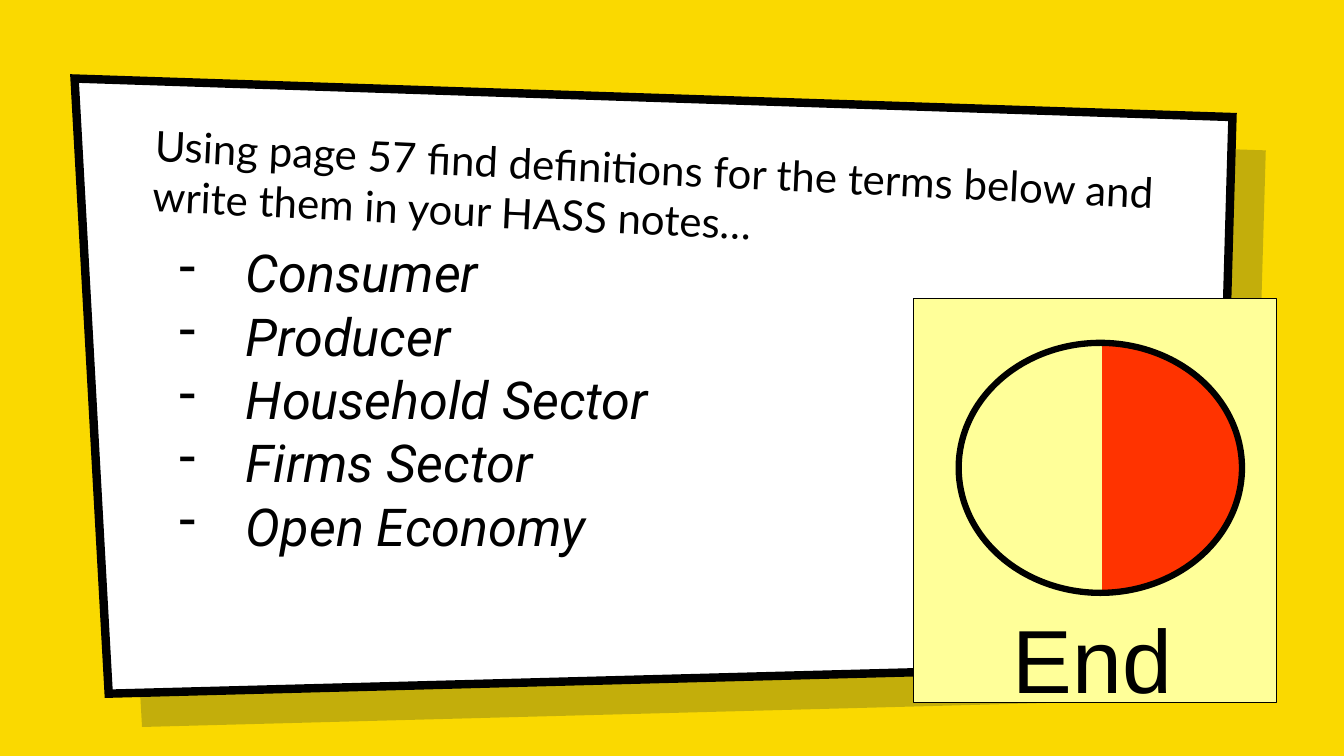
from lxml.etree import SubElement
from pptx import Presentation
from pptx.dml.color import RGBColor
from pptx.enum.shapes import MSO_SHAPE
from pptx.enum.text import MSO_ANCHOR, MSO_AUTO_SIZE, PP_ALIGN
from pptx.oxml.ns import qn
from pptx.util import Cm, Pt

YELLOW = RGBColor(0xFA, 0xD9, 0x00)
NAVY = RGBColor(0x00, 0x19, 0x36)
WHITE = RGBColor(0xFF, 0xFF, 0xFF)
BLACK = RGBColor(0x00, 0x00, 0x00)
CREAM = RGBColor(0xFF, 0xFF, 0x99)
RED = RGBColor(0xFF, 0x33, 0x00)

CARD_CORNERS = [(1.88, 1.98), (31.06, 2.95), (30.66, 16.74), (2.74, 17.48)]
SHADOW_OFFSET = 0.84
TIMER_CIRCLE = (24.16, 8.64, 7.14, 6.3)
TERMS = ["Consumer", "Producer", "Household Sector", "Firms Sector", "Open Economy"]


def paint(shape, fill=None, line_width=None):
    shape.shadow.inherit = False
    if fill is None:
        shape.fill.background()
    else:
        shape.fill.solid()
        shape.fill.fore_color.rgb = fill
    if line_width is None:
        shape.line.fill.background()
    else:
        shape.line.color.rgb = BLACK
        shape.line.width = Pt(line_width)


def write(para, text, font, size, italic=False):
    para.alignment = PP_ALIGN.LEFT
    span = para.add_run()
    span.text = text
    span.font.name = font
    span.font.size = Pt(size)
    span.font.italic = italic
    span.font.color.rgb = BLACK


deck = Presentation()
deck.slide_width, deck.slide_height = Cm(33.87), Cm(19.05)
page = deck.slides.add_slide(deck.slide_layouts[5])
page.background.fill.solid()
page.background.fill.fore_color.rgb = YELLOW
shapes = page.shapes

# Slanted card and its shadow
for offset, fill, line_width in [(SHADOW_OFFSET, NAVY, None), (0, WHITE, 6)]:
    corners = [(Cm(x + offset), Cm(y + offset)) for x, y in CARD_CORNERS]
    builder = shapes.build_freeform(*corners[0])
    builder.add_line_segments(corners[1:], close=True)
    card = builder.convert_to_shape()
    paint(card, fill, line_width)
    if line_width is None:
        color = card.fill._xPr.find(qn("a:solidFill"))[0]
        SubElement(color, qn("a:alpha"), val="22000")
    else:
        SubElement(card.line._get_or_add_ln(), qn("a:miter"), lim="800000")

# Terms
terms_box = shapes.add_textbox(Cm(3.89), Cm(5.72), Cm(25.81), Cm(12.24))
frame = terms_box.text_frame
frame.word_wrap = True
frame.margin_left = frame.margin_right = frame.margin_top = frame.margin_bottom = Cm(0.33)
for index, term in enumerate(TERMS):
    para = frame.add_paragraph() if index else frame.paragraphs[0]
    properties = para._p.get_or_add_pPr()
    properties.set("marL", str(Cm(1.98)))
    properties.set("indent", str(-Cm(1.7)))
    bullet_color = SubElement(properties, qn("a:buClr"))
    SubElement(bullet_color, qn("a:srgbClr"), val=str(BLACK))
    SubElement(properties, qn("a:buChar"), char="-")
    para.line_spacing = Pt(45.2)
    write(para, term, "Roboto", 37.3, italic=True)

# Title, brought in front of the card
title = shapes.title
shapes._spTree.append(title._element)
title.left, title.top, title.width, title.height = Cm(3.61), Cm(3.58), Cm(26.04), Cm(2.82)
title.rotation = 2.7
frame = title.text_frame
frame.word_wrap = True
frame.auto_size = MSO_AUTO_SIZE.NONE
frame.vertical_anchor = MSO_ANCHOR.BOTTOM
frame.margin_left = frame.margin_right = frame.margin_top = frame.margin_bottom = Cm(0.25)
write(frame.paragraphs[0],
      "Using page 57 find definitions for the terms below and write them in your HASS notes…",
      "Lato", 30)

# Timer
for kind, place, fill, line_width in [
    (MSO_SHAPE.RECTANGLE, (23.01, 7.52, 9.17, 10.19), CREAM, 0.75),
    (MSO_SHAPE.OVAL, TIMER_CIRCLE, RED, None),
    (MSO_SHAPE.RECTANGLE, (23.83, 8.31, 3.94, 7.14), CREAM, None),
    (MSO_SHAPE.OVAL, TIMER_CIRCLE, None, 4.5),
]:
    paint(shapes.add_shape(kind, *map(Cm, place)), fill, line_width)

end_box = shapes.add_textbox(Cm(25.27), Cm(15.09), Cm(6.02), Cm(3))
end_box.text_frame.word_wrap = True
end_box.text_frame.auto_size = MSO_AUTO_SIZE.SHAPE_TO_FIT_TEXT
write(end_box.text_frame.paragraphs[0], "End", "Arial", 64)

deck.save("out.pptx")
